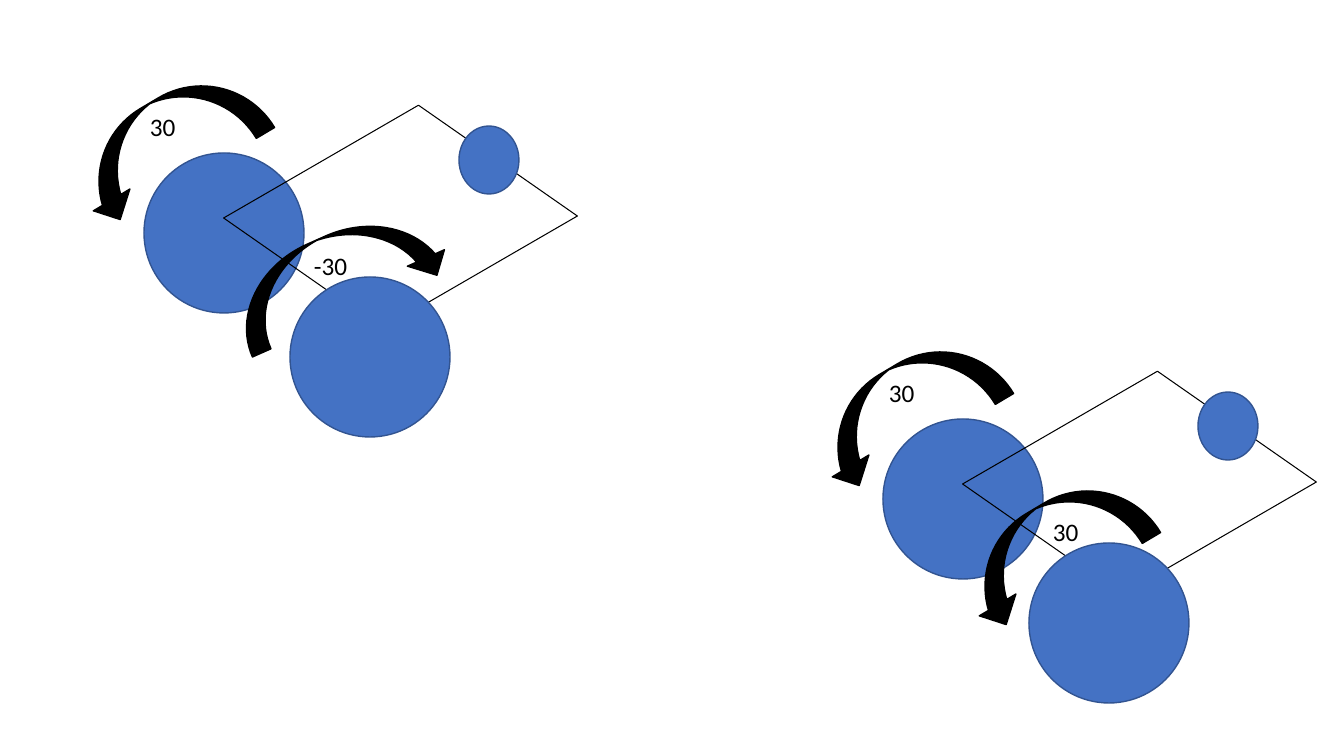
from pptx import Presentation
from pptx.dml.color import RGBColor
from pptx.enum.shapes import MSO_SHAPE
from pptx.enum.text import MSO_AUTO_SIZE
from pptx.util import Emu, Pt

PX = 914400 / 100.8
BLUE, NAVY, BLACK = "4472C4", "325491", "000000"


def color(value):
    return RGBColor.from_string(value)


def add_outline(group, kind, bounds, fill, line, width=1, rotation=0):
    shape = group.shapes.add_shape(kind, *(Emu(round(length * PX)) for length in bounds))
    shape.shadow.inherit = False
    if fill:
        shape.fill.solid()
        shape.fill.fore_color.rgb = color(fill)
    else:
        shape.fill.background()
    shape.line.color.rgb = color(line)
    shape.line.width = Pt(width)
    shape.rotation = rotation
    return shape


deck = Presentation()
deck.slide_width = Emu(round(1344 * PX))
deck.slide_height = Emu(round(756 * PX))
page = deck.slides.add_slide(deck.slide_layouts[6])

robots = [
    (739, 266, "30", 46, (271, 181, 85, 201), 59.2, False),
    (0, 0, "-30", 54, (297, 164, 81, 222), 246.1, True),
]

for left, top, front_angle, label_width, front_arrow, front_turn, mirrored in robots:
    robot = page.shapes.add_group_shape()

    parts = [
        (MSO_SHAPE.OVAL, (144, 153, 160, 160), BLUE, NAVY, 1, 0),
        (MSO_SHAPE.PARALLELOGRAM, (256, 115, 289, 204), None, BLACK, 0.75, 214.9),
        (MSO_SHAPE.OVAL, (290, 277, 160, 160), BLUE, NAVY, 1, 0),
        (MSO_SHAPE.OVAL, (459, 126, 60, 68), BLUE, NAVY, 1, 0),
        (MSO_SHAPE.CURVED_RIGHT_ARROW, (124, 42, 85, 201), BLACK, BLACK, 1, 59.2),
        (MSO_SHAPE.CURVED_RIGHT_ARROW, front_arrow, BLACK, BLACK, 1, front_turn),
    ]
    for kind, (x, y, width, height), fill, line, weight, turn in parts:
        part = add_outline(robot, kind, (left + x, top + y, width, height), fill, line, weight, turn)
        if kind == MSO_SHAPE.PARALLELOGRAM:
            part.adjustments[0] = 0.467
    if mirrored:
        part.element.spPr.xfrm.set("flipH", "1")

    for angle, x, y, width in [("30", 140, 106, 46), (front_angle, 304, 245, label_width)]:
        bounds = (left + x, top + y, width, 40)
        box = robot.shapes.add_textbox(*(Emu(round(length * PX)) for length in bounds))
        box.text_frame.word_wrap = False
        box.text_frame.auto_size = MSO_AUTO_SIZE.SHAPE_TO_FIT_TEXT
        box.text_frame.text = angle
        span = box.text_frame.paragraphs[0].runs[0]
        span.font.name = "Calibri"
        span.font.size = Pt(18)
        span.font.color.rgb = color(BLACK)

deck.save("out.pptx")
